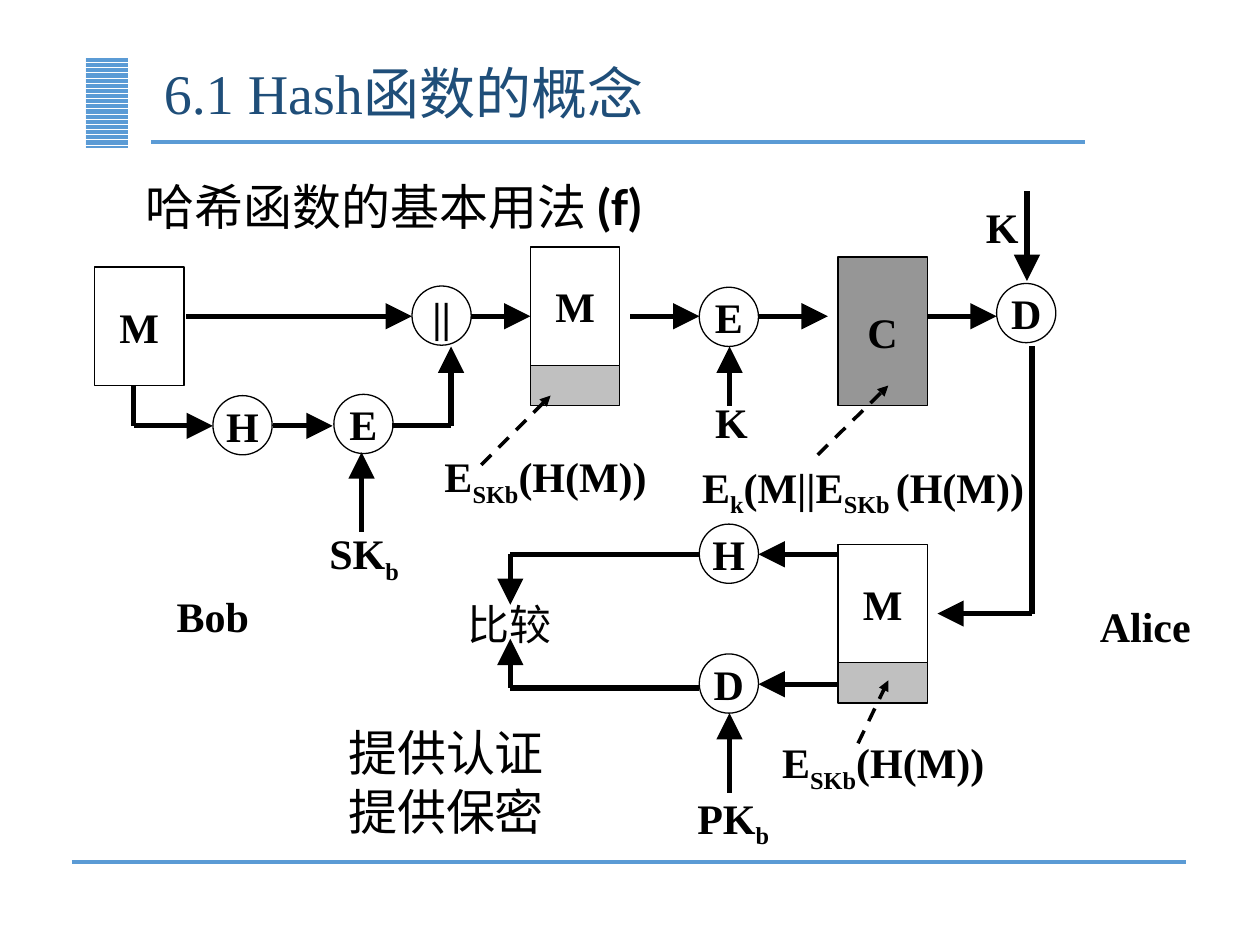
from lxml import etree
from pptx import Presentation
from pptx.dml.color import RGBColor
from pptx.enum.dml import MSO_LINE, MSO_PATTERN
from pptx.enum.shapes import MSO_CONNECTOR, MSO_SHAPE
from pptx.enum.text import MSO_ANCHOR, PP_ALIGN
from pptx.oxml.ns import qn
from pptx.util import Inches, Pt

RECT, OVAL = MSO_SHAPE.RECTANGLE, MSO_SHAPE.OVAL
LINE, DASH = MSO_CONNECTOR.STRAIGHT, MSO_LINE.DASH
STRIPES = MSO_PATTERN.DARK_HORIZONTAL
TOP, MID = MSO_ANCHOR.TOP, MSO_ANCHOR.MIDDLE
LEFT, MIDDLE, JUST = PP_ALIGN.LEFT, PP_ALIGN.CENTER, PP_ALIGN.JUSTIFY
SERIF, SANS, HAN = "Times New Roman", "Lato", "Noto Sans CJK SC"
INK = {"black": "000000", "white": "FFFFFF", "blue": "5B9BD5",
       "navy": "1F4E79", "silver": "C0C0C0", "gray": "969696"}
DOT = 0.47
WIDE, TALL, STRIP = 0.71, 0.94, 0.32
SIGNED = "E_SKb_(H(M))"


def tint(name):
    return RGBColor.from_string(INK[name])


def put(frame, text, size=24, font=SERIF, color="black", bold=True,
        align=MIDDLE, anchor=TOP, wrap=False, space=1.0):
    frame.word_wrap = wrap
    frame.vertical_anchor = anchor
    for i, line in enumerate(text.split("\n")):
        para = frame.paragraphs[0] if i == 0 else frame.add_paragraph()
        para.alignment = align
        para.line_spacing = space
        for j, part in enumerate(line.split("_")):
            run = para.add_run()
            run.text = part
            run.font.size = Pt(size)
            run.font.bold = bold
            run.font.color.rgb = tint(color)
            run.font.name = font
            props = run.font._element
            etree.SubElement(props, qn("a:ea"), typeface=HAN)
            if j % 2:
                props.set("baseline", "-25000")
    return frame


def label(box, x, y, w, text, h=0.5, **fmt):
    shapes, left, top = box
    area = shapes.add_textbox(Inches(left + x), Inches(top + y),
                              Inches(w), Inches(h))
    return put(area.text_frame, text, **fmt)


def block(box, x, y, w, h, text="", kind=RECT, fill="white"):
    shapes, left, top = box
    shape = shapes.add_shape(kind, Inches(left + x), Inches(top + y),
                             Inches(w), Inches(h))
    shape.shadow.inherit = False
    shape.fill.solid()
    shape.fill.fore_color.rgb = tint(fill)
    shape.line.color.rgb = tint("black")
    shape.line.width = Pt(0.75)
    if text:
        put(shape.text_frame, text, anchor=MID)
    return shape


def node(box, x, y, text):
    block(box, x, y, DOT, DOT, text, OVAL)


def pack(box, x, y):
    block(box, x, y, WIDE, TALL, "M")
    block(box, x, y + TALL, WIDE, STRIP, fill="silver")


def route(box, *stops, color="black", width=3, head="lg", dash=False):
    shapes, left, top = box
    for (x1, y1), (x2, y2) in zip(stops, stops[1:]):
        edge = shapes.add_connector(LINE, Inches(left + x1), Inches(top + y1),
                                    Inches(left + x2), Inches(top + y2))
        edge.line.color.rgb = tint(color)
        edge.line.width = Pt(width)
        if dash:
            edge.line.dash_style = DASH
        etree.SubElement(edge._element.spPr, qn("a:effectLst"))
    if head:
        etree.SubElement(edge.line._get_or_add_ln(), qn("a:tailEnd"),
                         type="triangle", w=head, len=head)


def point(box, start, end):
    route(box, start, end, width=2, head="med", dash=True)


def frame(box, title):
    shapes, left, top = box
    bar = block(box, 0.11, 0.05, 0.34, 0.72)
    bar.fill.patterned()
    bar.fill.pattern = STRIPES
    bar.fill.fore_color.rgb = tint("blue")
    bar.fill.back_color.rgb = tint("white")
    bar.line.fill.background()
    for x1, x2, y in ((0.63, 8.04, 0.73), (0, 8.84, 6.44)):
        route(box, (x1, y), (x2, y), color="blue", width=2.25, head=None)
    title.left, title.top = Inches(left + 0.63), Inches(top)
    title.width, title.height = Inches(7.41), Inches(0.73)
    put(title.text_frame, "6.1 Hash函数的概念", size=32, color="navy",
        bold=False, align=LEFT, anchor=MID, wrap=True, space=0.9)
    lead = label(box, 0.49, 0.86, 7.91, "哈希函数的基本用法 _(f)", h=0.61,
                 size=28, font=SANS, bold=False, align=JUST, wrap=True,
                 space=1.2)
    mark = lead.paragraphs[0].runs[1].font
    mark.bold = True
    mark._element.set("baseline", "0")


def sender(box):
    mid, low = 0.55, 1.42
    block(box, 0, 0.16, WIDE, TALL, "M")
    node(box, 2.52, 0.31, "||")
    node(box, 0.94, 1.18, "H")
    node(box, 1.9, 1.17, "E")
    pack(box, 3.46, 0)
    route(box, (0.73, mid), (2.52, mid))
    route(box, (2.99, mid), (3.46, mid))
    route(box, (0.31, 1.1), (0.31, low), (0.94, low))
    route(box, (1.42, low), (1.89, low))
    route(box, (2.36, low), (2.83, low), (2.83, 0.79))
    route(box, (2.12, 2.26), (2.12, 1.63))
    point(box, (3.07, 1.73), (3.62, 1.18))
    label(box, 1.73, 2.18, 0.82, "SK_b")
    label(box, 2.52, 1.57, 2.12, SIGNED)
    label(box, 0.23, 2.68, 1.42, "Bob")


def cipher(box):
    mid = 1.01
    node(box, 0.55, 0.78, "E")
    block(box, 1.65, 0.54, WIDE, 1.18, "C", fill="gray")
    node(box, 2.91, 0.75, "D")
    for x1, x2 in ((0, 0.55), (1.02, 1.57), (2.36, 2.91)):
        route(box, (x1, mid), (x2, mid))
    route(box, (0.79, 1.72), (0.79, 1.25))
    route(box, (3.15, 0.02), (3.15, 0.73))
    point(box, (1.49, 2.11), (2.05, 1.56))
    label(box, 0.45, 1.6, WIDE, "K")
    label(box, 2.6, 0.05, WIDE, "K")
    label(box, 0.47, 2.11, 2.76, "E_k_(M||E_SKb _(H(M))")


def checker(box):
    high, low = 0.3, 1.33
    note = block(box, -1.97, 1.54, 4.02, 1.13)
    note.line.fill.background()
    put(note.text_frame, "提供认证\n提供保密", size=28, bold=False, anchor=MID)
    node(box, 2.05, 0.06, "H")
    node(box, 2.05, 1.09, "D")
    pack(box, 3.15, 0.22)
    route(box, (4.69, -1.35), (4.69, 0.77), (3.94, 0.77))
    for y in (high, low):
        route(box, (3.15, y), (2.52, y))
    route(box, (2.05, high), (0.55, high), (0.55, 0.7))
    route(box, (2.05, 1.36), (0.55, 1.36), (0.55, 0.97))
    route(box, (2.29, 2.19), (2.29, 1.56))
    point(box, (3.31, 1.8), (3.55, 1.3))
    label(box, 0.07, 0.6, 0.94, "比较", font=HAN, bold=False)
    label(box, 1.89, 2.14, 0.86, "PK_b")
    label(box, 2.45, 1.7, 2.12, SIGNED)
    label(box, 5.08, 0.62, 1.02, "Alice")


def main():
    deck = Presentation()
    deck.slide_width, deck.slide_height = Inches(10), Inches(7.5)
    slide = deck.slides.add_slide(deck.slide_layouts[5])
    shapes = slide.shapes
    frame((shapes, 0.57, 0.4), shapes.title)
    sender((shapes, 0.75, 1.96))
    cipher((shapes, 5, 1.5))
    checker((shapes, 3.5, 4.1))
    deck.save("out.pptx")


if __name__ == "__main__":
    main()
